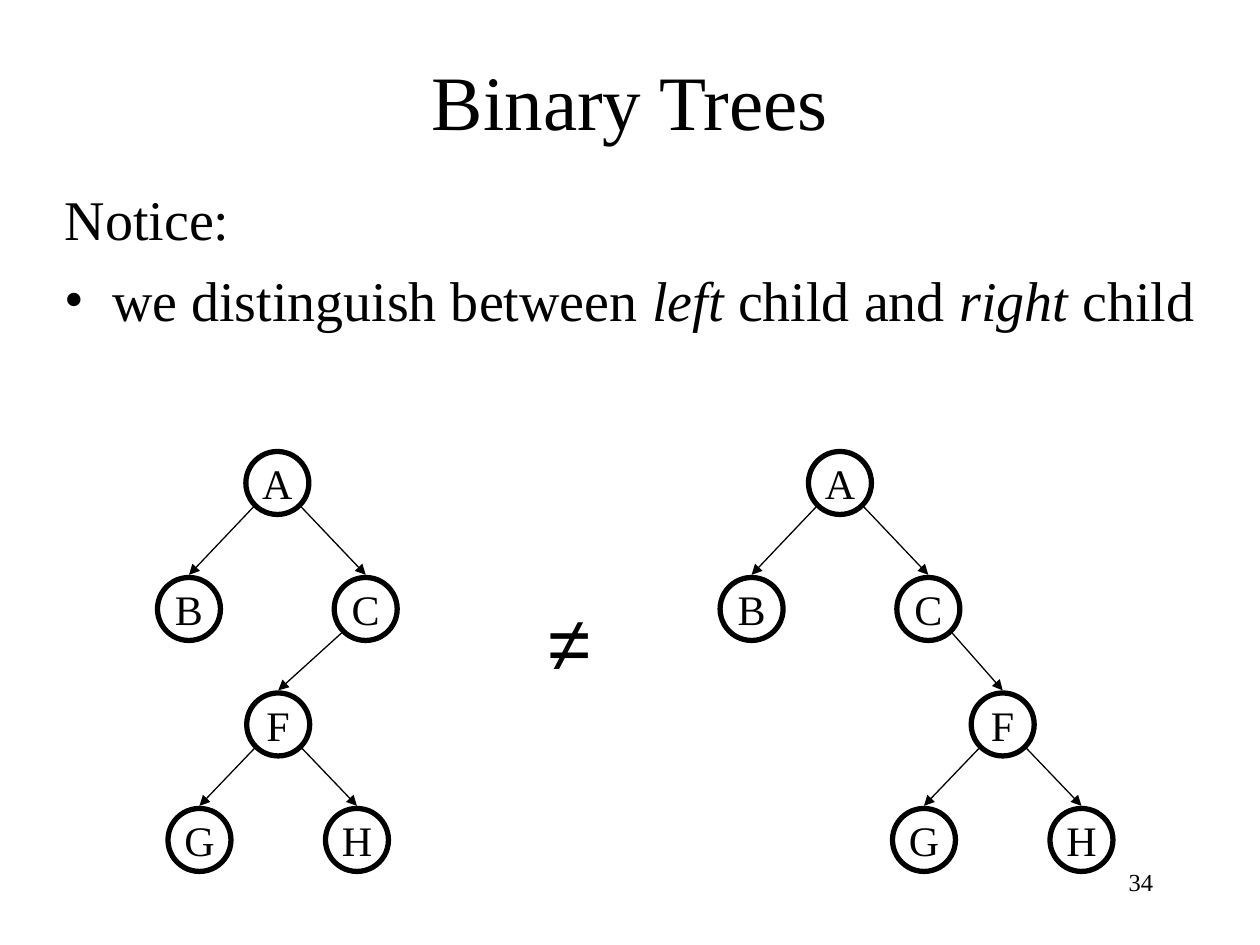
from dataclasses import dataclass
from math import sqrt

from lxml import etree
from pptx import Presentation
from pptx.dml.color import RGBColor
from pptx.enum.shapes import MSO_CONNECTOR, MSO_SHAPE
from pptx.enum.text import MSO_ANCHOR, PP_ALIGN
from pptx.oxml.ns import qn
from pptx.util import Pt

OVAL, STRAIGHT = MSO_SHAPE.OVAL, MSO_CONNECTOR.STRAIGHT
TOP, MIDDLE = MSO_ANCHOR.TOP, MSO_ANCHOR.MIDDLE
LEFT, CENTER, RIGHT = PP_ALIGN.LEFT, PP_ALIGN.CENTER, PP_ALIGN.RIGHT


@dataclass(frozen=True)
class Theme:
    ink: RGBColor = RGBColor(0, 0, 0)
    font: str = "Times New Roman"
    symbol_font: str = "Arial"
    title: int = 44
    body: int = 32
    node: int = 24
    number: int = 14
    ring: float = 3
    edge: float = 0.75


@dataclass(frozen=True)
class Node:
    label: str
    x: float
    y: float
    parent: str = ""


THEME = Theme()
DIAMETER = 36
ARROW_GAP = 1.5
ROWS = (276, 348, 414, 480)
CHILD_DX, LEAF_DX = 50.5, 45


def tree(root_x: float, f_dx: float) -> list[Node]:
    """Lay out one tree; f_dx places F to the left or right of C."""
    c_x = root_x + CHILD_DX
    f_x = c_x + f_dx
    return [
        Node("A", root_x, ROWS[0]),
        Node("B", root_x - CHILD_DX, ROWS[1], "A"),
        Node("C", c_x, ROWS[1], "A"),
        Node("F", f_x, ROWS[2], "C"),
        Node("G", f_x - LEAF_DX, ROWS[3], "F"),
        Node("H", f_x + LEAF_DX, ROWS[3], "F"),
    ]


def add_run(p, text: str, size: int, font: str = THEME.font, italic: bool = False) -> None:
    r = p.add_run()
    r.text = text
    for name, value in {"name": font, "size": Pt(size), "italic": italic}.items():
        setattr(r.font, name, value)
    r.font.color.rgb = THEME.ink


def set_frame(tf, wrap: bool, anchor) -> None:
    margins = {"margin_left": Pt(7.2), "margin_right": Pt(7.2),
               "margin_top": Pt(3.6), "margin_bottom": Pt(3.6)}
    for name, value in {"word_wrap": wrap, "vertical_anchor": anchor, **margins}.items():
        setattr(tf, name, value)


def add_text(s, box: tuple, text: str, size: int, align, font: str = THEME.font,
             wrap: bool = True) -> None:
    tf = s.shapes.add_textbox(*map(Pt, box)).text_frame
    set_frame(tf, wrap, TOP)
    p = tf.paragraphs[0]
    p.alignment = align
    add_run(p, text, size, font)


def add_title(s, text: str) -> None:
    sp = s.shapes.title
    place = {"left": 54, "top": 12, "width": 612, "height": 90}
    for name, value in place.items():
        setattr(sp, name, Pt(value))
    set_frame(sp.text_frame, True, MIDDLE)
    p = sp.text_frame.paragraphs[0]
    p.alignment = CENTER
    add_run(p, text, THEME.title)


def add_bullet(p) -> None:
    pPr = p._p.get_or_add_pPr()
    pPr.set("marL", str(Pt(27)))
    pPr.set("indent", str(Pt(-27)))
    etree.SubElement(pPr, qn("a:buFont")).set("typeface", THEME.font)
    etree.SubElement(pPr, qn("a:buChar")).set("char", "•")


def add_notice(s) -> None:
    tf = s.shapes.add_textbox(Pt(30), Pt(102), Pt(662), Pt(324)).text_frame
    set_frame(tf, True, TOP)
    add_run(tf.paragraphs[0], "Notice:", THEME.body)
    p = tf.add_paragraph()
    p.space_before = Pt(8)
    add_bullet(p)
    for text, italic in (("we distinguish between ", False), ("left", True),
                         (" child and ", False), ("right", True), (" child", False)):
        add_run(p, text, THEME.body, italic=italic)


def add_node(s, node: Node) -> None:
    radius = DIAMETER / 2
    sp = s.shapes.add_shape(OVAL, Pt(node.x - radius), Pt(node.y - radius),
                            Pt(DIAMETER), Pt(DIAMETER))
    sp.shadow.inherit = False
    sp.fill.background()
    sp.line.color.rgb = THEME.ink
    sp.line.width = Pt(THEME.ring)
    set_frame(sp.text_frame, False, MIDDLE)
    p = sp.text_frame.paragraphs[0]
    p.alignment = CENTER
    add_run(p, node.label, THEME.node)


def add_edge(s, parent: Node, child: Node) -> None:
    """Draw an arrow from the parent's lower diagonal to the child's top."""
    radius = DIAMETER / 2
    reach = radius / sqrt(2)
    side = 1 if child.x > parent.x else -1
    edge = s.shapes.add_connector(
        STRAIGHT, Pt(parent.x + side * reach), Pt(parent.y + reach),
        Pt(child.x), Pt(child.y - radius - ARROW_GAP))
    edge.line.color.rgb = THEME.ink
    edge.line.width = Pt(THEME.edge)
    etree.SubElement(edge.line._get_or_add_ln(), qn("a:tailEnd")).set("type", "triangle")
    etree.SubElement(edge._element.spPr, qn("a:effectLst"))


def add_tree(s, nodes: list[Node]) -> None:
    by_label = {node.label: node for node in nodes}
    for node in nodes:
        add_node(s, node)
        if node.parent:
            add_edge(s, by_label[node.parent], node)


def main() -> None:
    prs = Presentation()
    prs.slide_width, prs.slide_height = Pt(720), Pt(540)
    s = prs.slides.add_slide(prs.slide_layouts[5])
    add_text(s, (516, 492, 150, 36), "34", THEME.number, RIGHT)
    add_title(s, "Binary Trees")
    add_notice(s)
    add_tree(s, tree(158.5, -50))
    add_tree(s, tree(480, 42.5))
    add_text(s, (306.5, 336, 49, 60.5), "≠", THEME.title, LEFT, THEME.symbol_font, wrap=False)
    prs.save("out.pptx")


if __name__ == "__main__":
    main()
